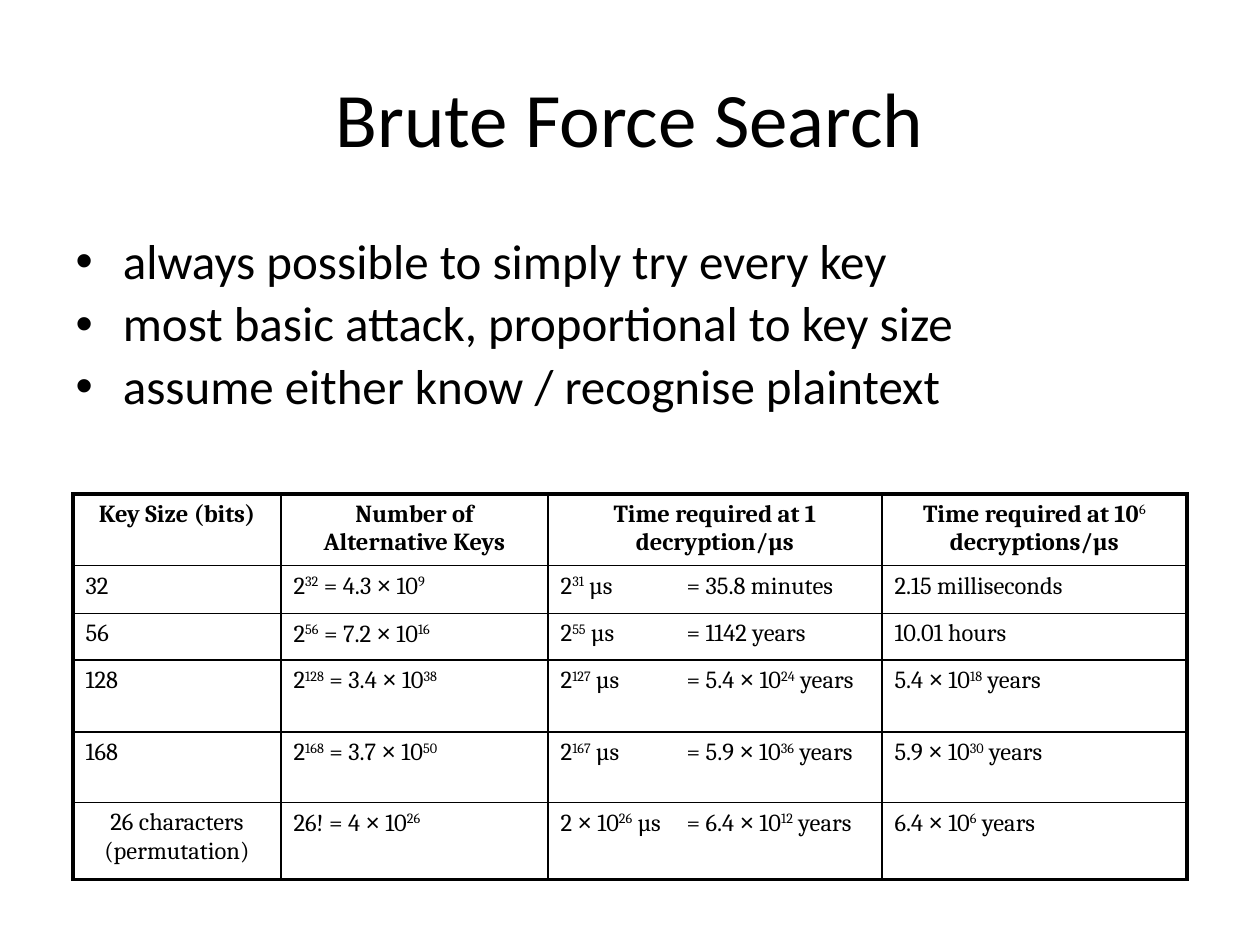
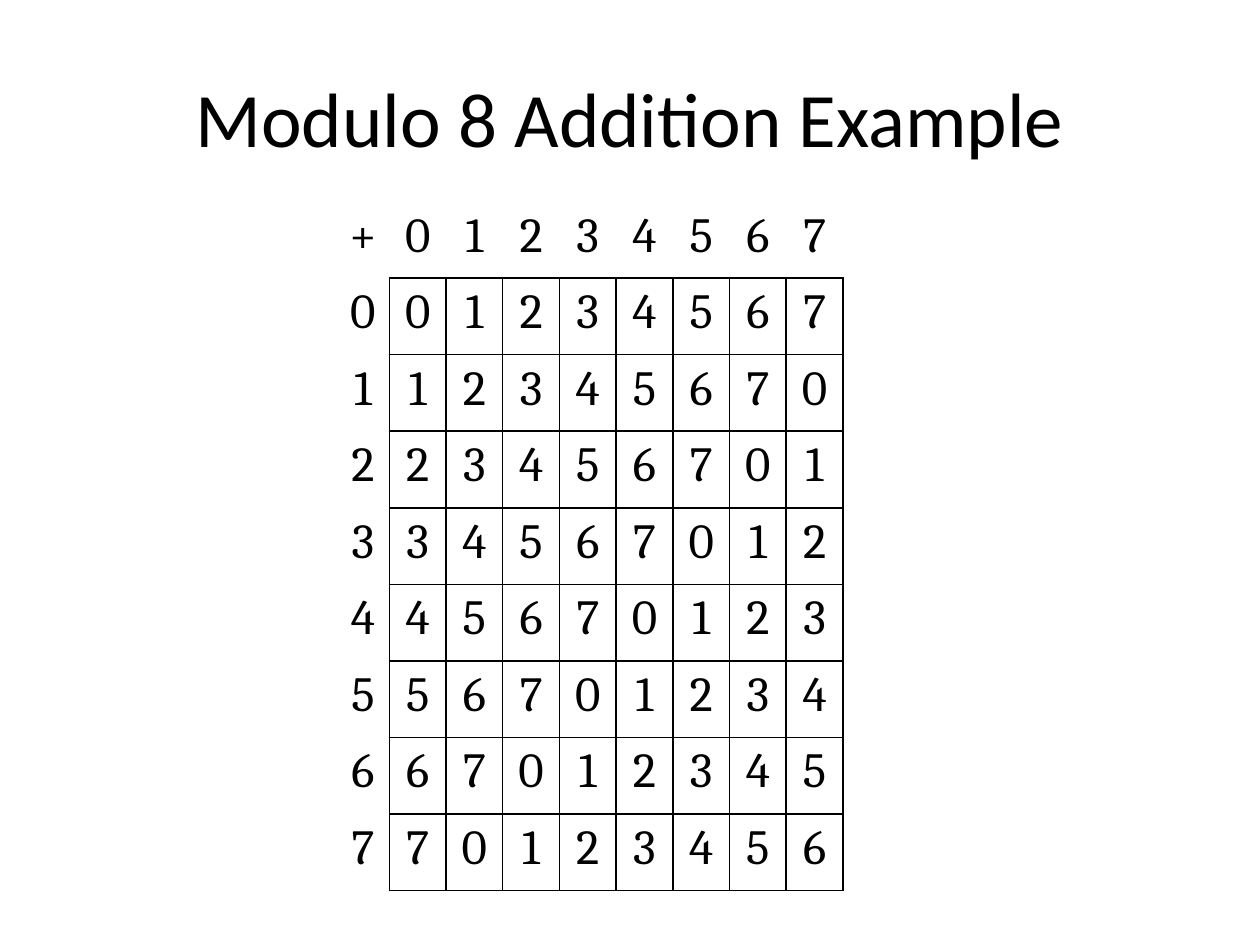
"""Build two slides: brute force search times and modulo 8 addition."""
from lxml.etree import SubElement
from pptx import Presentation
from pptx.dml.color import RGBColor as Rgb
from pptx.enum.text import MSO_ANCHOR as Anchor, PP_ALIGN as Align
from pptx.oxml.ns import qn
from pptx.util import Inches, Pt

COLOURS = {"ink": "000000", "paper": "FFFFFF"}
FONTS = {"text": "Calibri", "table": "Cambria", "sign": "Arial"}
WIDTH, HEIGHT = 10, 7.5
MARGIN = WIDTH / 20
NO_STYLE = "{2D5ABB26-0587-4C30-8999-92F81FD0307C}"
SIDES = {"L": (0, -1), "R": (0, 1), "T": (-1, 0), "B": (1, 0)}

SEARCH_TITLE = "Brute Force Search"
SEARCH_POINTS = [
    "always possible to simply try every key",
    "most basic attack, proportional to key size",
    "assume either know / recognise plaintext",
]
KEY_ROWS = [
    ("Key Size (bits)", "Number of Alternative Keys",
     "Time required at 1 decryption/µs", "Time required at 10^6^ decryptions/µs"),
    ("32", "2^32^ = 4.3 × 10^9^", "2^31^ µs\t= 35.8 minutes", "2.15 milliseconds"),
    ("56", "2^56^ = 7.2 × 10^16^", "2^55^ µs\t= 1142 years", "10.01 hours"),
    ("128", "2^128^ = 3.4 × 10^38^", "2^127^ µs\t= 5.4 × 10^24^ years",
     "5.4 × 10^18^ years"),
    ("168", "2^168^ = 3.7 × 10^50^", "2^167^ µs\t= 5.9 × 10^36^ years",
     "5.9 × 10^30^ years"),
    ("26 characters (permutation)", "26! = 4 × 10^26^",
     "2 × 10^26^ µs\t= 6.4 × 10^12^ years", "6.4 × 10^6^ years"),
]
KEY_WIDTHS = [1.65, 2.12, 2.65, 2.42]
KEY_HEIGHTS = [0.57, 0.38, 0.37, 0.57, 0.56, 0.61]

SUM_TITLE = "Modulo 8 Addition Example"
MODULUS = 8
DIGITS = range(MODULUS)
SUM_ROWS = [["+", *map(str, DIGITS)]] + [
    [str(row), *(str((row + column) % MODULUS) for column in DIGITS)] for row in DIGITS]
SUM_WIDTHS = [0.42] + [0.45] * MODULUS
SUM_HEIGHTS = [5.47 / (MODULUS + 1)] * (MODULUS + 1)


def place(shape, left, top, width, height):
    shape.left, shape.top = Inches(left), Inches(top)
    shape.width, shape.height = Inches(width), Inches(height)


def set_font(para, name, size, bold=None):
    font = para.font
    font.name, font.size, font.bold = name, Pt(size), bold
    font.color.rgb = Rgb.from_string(COLOURS["ink"])


def new_page(deck, layout, title):
    page = deck.slides.add_slide(deck.slide_layouts[layout])
    page.background.fill.solid()
    page.background.fill.fore_color.rgb = Rgb.from_string(COLOURS["paper"])
    place(page.shapes.title, MARGIN, HEIGHT / 25, WIDTH - 2 * MARGIN, HEIGHT / 6)
    frame = page.shapes.title.text_frame
    frame.text, frame.vertical_anchor = title, Anchor.MIDDLE
    frame.paragraphs[0].alignment = Align.CENTER
    set_font(frame.paragraphs[0], FONTS["text"], 44)
    return page


def add_points(page, points):
    box = page.placeholders[1]
    place(box, MARGIN, 1.83, WIDTH - 2 * MARGIN, 2)
    box.text_frame.text = "\n".join(points)
    for para in box.text_frame.paragraphs:
        para.line_spacing = 0.9
        set_font(para, FONTS["text"], 28)
    box.text_frame.paragraphs[0].space_before = Pt(0)


def write_formula(para, text):
    """Write text where ^ marks open and close a superscript."""
    for index, piece in enumerate(text.split("^")):
        for part in filter(None, piece.partition("×")):
            span = para.add_run()
            span.text = part
            if part == "×":
                span.font.name = FONTS["sign"]
            if index % 2:
                span.font.bold = False
                span.font._element.set("baseline", "30000")


def draw_border(cell, side, points):
    line = SubElement(cell._tc.get_or_add_tcPr(), qn(f"a:ln{side}"), w=str(Pt(points)))
    if points:
        fill = SubElement(line, qn("a:solidFill"))
        SubElement(fill, qn("a:srgbClr"), val=COLOURS["ink"])
    else:
        SubElement(line, qn("a:noFill"))


def key_border(row, column):
    inside = 0 <= row < len(KEY_ROWS) and 0 <= column < len(KEY_WIDTHS)
    return 1 if inside else 2.25


def add_grid(page, left, top, rows, widths, heights, size, border, centred, bold_rows=0):
    frame = page.shapes.add_table(len(rows), len(widths), Inches(left), Inches(top),
                                  Inches(sum(widths)), Inches(sum(heights)))
    table = frame.table
    table.first_row = table.horz_banding = False
    table._tbl.tblPr.find(qn("a:tableStyleId")).text = NO_STYLE
    for column, width in zip(table.columns, widths):
        column.width = Inches(width)
    for row, height in zip(table.rows, heights):
        row.height = Inches(height)
    for r, texts in enumerate(rows):
        for c, text in enumerate(texts):
            cell = table.cell(r, c)
            for side, (down, across) in SIDES.items():
                draw_border(cell, side, border(r, c, r + down, c + across))
            cell.fill.background()
            para = cell.text_frame.paragraphs[0]
            para.alignment = Align.CENTER if centred(r, c) else Align.LEFT
            if "\t" in text:
                tabs = SubElement(para._p.get_or_add_pPr(), qn("a:tabLst"))
                SubElement(tabs, qn("a:tab"), pos=str(Inches(1)), algn="l")
            set_font(para, FONTS["table"], size, r < bold_rows)
            write_formula(para, text)


def main():
    deck = Presentation()
    deck.slide_width, deck.slide_height = Inches(WIDTH), Inches(HEIGHT)

    page = new_page(deck, 1, SEARCH_TITLE)
    add_points(page, SEARCH_POINTS)
    last = len(KEY_ROWS) - 1
    add_grid(page, 0.58, 3.92, KEY_ROWS, KEY_WIDTHS, KEY_HEIGHTS, 14,
             border=lambda r, c, next_r, next_c: key_border(next_r, next_c),
             centred=lambda r, c: r == 0 or (r, c) == (last, 0), bold_rows=1)

    page = new_page(deck, 5, SUM_TITLE)
    add_grid(page, 2.67, 1.5 + 0.1, SUM_ROWS, SUM_WIDTHS, SUM_HEIGHTS, 28,
             border=lambda r, c, next_r, next_c: int(
                 min(r, c) > 0 or (min(next_r, next_c) > 0
                                   and max(next_r, next_c) <= MODULUS)),
             centred=lambda r, c: True)
    deck.save("out.pptx")


if __name__ == "__main__":
    main()
